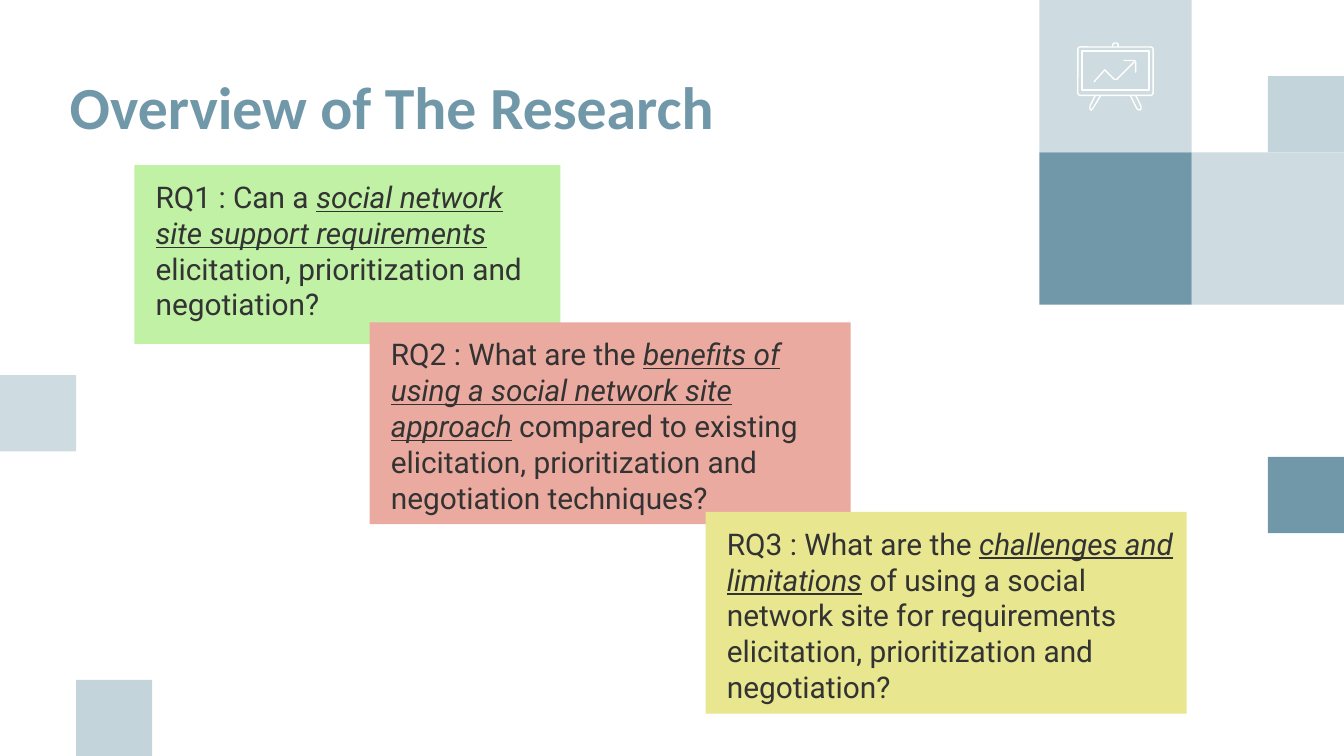
from lxml import etree
from pptx import Presentation
from pptx.dml.color import RGBColor
from pptx.enum.shapes import MSO_SHAPE
from pptx.enum.text import MSO_ANCHOR, PP_ALIGN
from pptx.oxml.ns import qn
from pptx.util import Inches, Pt

RECT = MSO_SHAPE.RECTANGLE
ROUND = MSO_SHAPE.ROUNDED_RECTANGLE
TOP, BOTTOM = MSO_ANCHOR.TOP, MSO_ANCHOR.BOTTOM
LEFT = PP_ALIGN.LEFT
WIDE, HIGH = 10, 5.625
UNIT = 1.7 / 3

HUES = {
    "blue": "7198A9", "pale": "CEDBE0", "white": "FFFFFF", "ink": "333333",
    "green": "C0F1A5", "pink": "EBAA9F", "gold": "E8E68E",
}

TITLE = "Overview of The Research"

CARDS = [
    ("green", (1, 1.23, 3.17, 1.33), "RQ1 : Can a ",
     "social network site support requirements ",
     "elicitation, prioritization and negotiation?"),
    ("pink", (2.75, 2.4, 3.58, 1.5), "RQ2 : What are the ",
     "benefits of using a social network site approach",
     " compared to existing elicitation, prioritization and negotiation techniques?"),
    ("gold", (5.25, 3.81, 3.58, 1.5), "RQ3 : What are the ",
     "challenges and limitations",
     " of using a social network site for requirements elicitation, "
     "prioritization and negotiation?"),
]

# column, row, span, hue, alpha
TILES = [
    (-2, 2, 2, "pale", 100), (-4, 0, 2, "pale", 100), (-4, 2, 2, "blue", 100),
    (0, -5, 1, "pale", 100), (1, -1, 1, "blue", 41),
    (-1, 6, 1, "blue", 100), (-1, 1, 1, "blue", 41),
]

FRAMES = [(ROUND, (8.02, 0.35, 0.56, 0.36)), (RECT, (8.05, 0.38, 0.5, 0.29))]

STROKES = [
    [(8.32, 0.35), (8.32, 0.33), (8.31, 0.32), (8.29, 0.32), (8.28, 0.33), (8.28, 0.35)],
    [(8.15, 0.71), (8.11, 0.79), (8.11, 0.81), (8.12, 0.82), (8.13, 0.81), (8.19, 0.71)],
    [(8.41, 0.71), (8.46, 0.81), (8.48, 0.82), (8.49, 0.81), (8.49, 0.79), (8.45, 0.71)],
    [(8.44, 0.46), (8.31, 0.59), (8.29, 0.59), (8.22, 0.52), (8.14, 0.61)],
    [(8.36, 0.45), (8.44, 0.45), (8.45, 0.46), (8.45, 0.54)],
]


def paint(shape, fill=None, line=None, alpha=100):
    shape.shadow.inherit = False
    if fill:
        shape.fill.solid()
        shape.fill.fore_color.rgb = RGBColor.from_string(HUES[fill])
        if alpha < 100:
            hue = shape.fill._xPr.find(".//" + qn("a:srgbClr"))
            etree.SubElement(hue, qn("a:alpha"), val=str(alpha * 1000))
    else:
        shape.fill.background()
    if line:
        shape.line.color.rgb = RGBColor.from_string(HUES[line])
        shape.line.width = Pt(0.75)
    else:
        shape.line.fill.background()


def block(slide, kind, box, **look):
    shape = slide.shapes.add_shape(kind, *map(Inches, box))
    paint(shape, **look)
    return shape


def write(shape, runs, size=16, font="Roboto", hue="ink", bold=False,
          anchor=TOP, indent=0, before=0):
    frame = shape.text_frame
    frame.word_wrap = True
    frame.vertical_anchor = anchor
    frame.margin_left = frame.margin_right = Inches(0.1)
    frame.margin_top = frame.margin_bottom = Inches(0.1)
    para = frame.paragraphs[0]
    para.alignment = LEFT
    para.space_before = Pt(before)
    props = para._p.get_or_add_pPr()
    props.set("marL", str(Inches(indent)))
    props.set("indent", "0")
    for text, key in runs:
        run = para.add_run()
        run.text = text
        face = run.font
        face.size, face.name, face.bold = Pt(size), font, bold
        face.italic = face.underline = key
        face.color.rgb = RGBColor.from_string(HUES[hue])


def stroke(slide, dots):
    spots = [(Inches(x), Inches(y)) for x, y in dots]
    pen = slide.shapes.build_freeform(*spots[0])
    pen.add_line_segments(spots[1:], close=False)
    paint(pen.convert_to_shape(), line="white")


def card(slide, data):
    hue, box, lead, key, rest = data
    shape = block(slide, RECT, box, fill=hue)
    write(shape, [(lead, False), (key, True), (rest, False)], indent=0.06, before=3.6)


def main():
    deck = Presentation()
    deck.slide_width, deck.slide_height = Inches(WIDE), Inches(HIGH)
    slide = deck.slides.add_slide(deck.slide_layouts[6])
    for col, row, span, hue, alpha in TILES:
        left = col * UNIT + (WIDE if col < 0 else 0)
        top = row * UNIT + (HIGH if row < 0 else 0)
        side = span * UNIT
        block(slide, RECT, (left, top, side, side), fill=hue, alpha=alpha)
    for kind, box in FRAMES:
        shape = block(slide, kind, box, line="white")
        if kind == ROUND:
            shape.adjustments[0] = 0.05
    for dots in STROKES:
        stroke(slide, dots)
    card(slide, CARDS[0])
    head = slide.shapes.add_textbox(*map(Inches, (0.42, 0.31, 6.42, 0.84)))
    write(head, [(TITLE, False)], size=32, font="Calibri", hue="blue",
          bold=True, anchor=BOTTOM)
    for data in CARDS[1:]:
        card(slide, data)
    deck.save("out.pptx")


if __name__ == "__main__":
    main()
